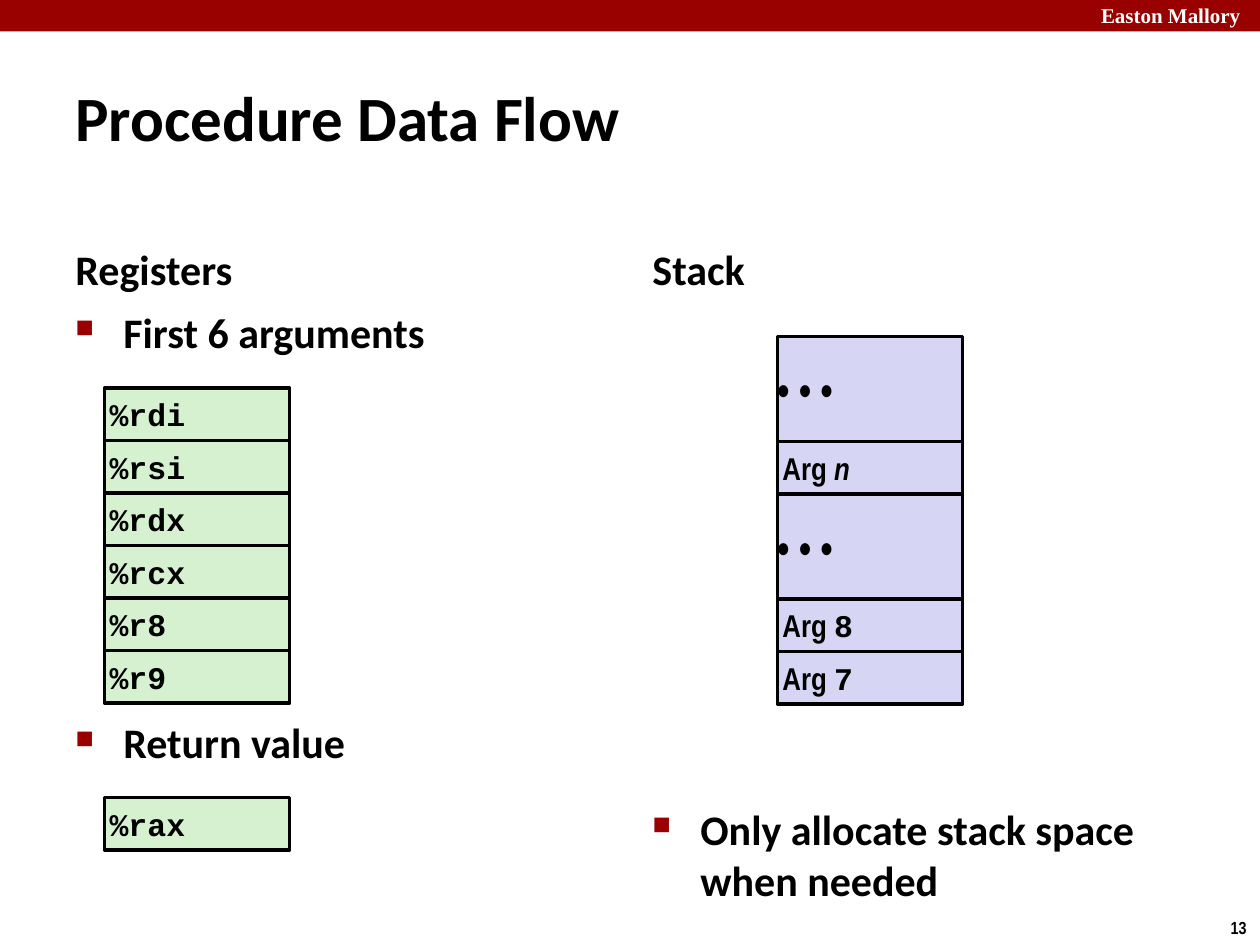
"""Builds the slide on procedure data flow through registers and the stack."""
from lxml.etree import SubElement
from pptx import Presentation
from pptx.dml.color import RGBColor
from pptx.enum.shapes import MSO_SHAPE as Shape
from pptx.enum.text import MSO_ANCHOR as Anchor, PP_ALIGN as Align
from pptx.oxml.ns import qn
from pptx.util import Inches, Pt

COLORS = {"red": "990000", "white": "FFFFFF", "black": "000000",
          "register": "D5F1CF", "stack": "D6D6F4"}
HEAD, LABEL, CODE, BRAND = "Calibri", "Arial Narrow", "Courier New", "Times New Roman"
ROW = 5 / 12
CELL_WIDTH = 1.47
REGISTER_LEFT, STACK_LEFT = 0.83, 6.17
DOTS = "• • •"


class Page:
    def __init__(self, deck):
        self.slide = deck.slides.add_slide(deck.slide_layouts[6])

    def color(self, name):
        return RGBColor.from_string(COLORS[name])

    def style(self, span, size, font, color="black", italic=False):
        span.font.size = Pt(size)
        span.font.name = font
        span.font.bold = True
        span.font.italic = italic
        span.font.color.rgb = self.color(color)

    def text(self, left, top, width, height, lines, size, font,
             color="black", anchor=Anchor.TOP, align=Align.LEFT, wrap=True):
        box = self.slide.shapes.add_textbox(
            Inches(left), Inches(top), Inches(width), Inches(height))
        frame = box.text_frame
        frame.text = "\n".join(lines)
        frame.word_wrap = wrap
        frame.vertical_anchor = anchor
        for para in frame.paragraphs:
            para.alignment = align
            self.style(para.runs[0], size, font, color)
        return frame

    def bullets(self, left, top, width, height, lines, gap=0):
        frame = self.text(left, top, width, height, lines, 24, HEAD)
        for index, para in enumerate(frame.paragraphs):
            para.space_before = Pt(gap if index else 4.8)
            props = para._p.get_or_add_pPr()
            props.set("marL", str(Inches(0.38)))
            props.set("indent", str(-Inches(0.38)))
            tint = SubElement(props, qn("a:buClr"))
            SubElement(tint, qn("a:srgbClr"), val=COLORS["red"])
            SubElement(props, qn("a:buSzPct"), val="60000")
            SubElement(props, qn("a:buChar"), char="■")

    def rect(self, left, top, width, height, fill, line=None):
        box = self.slide.shapes.add_shape(
            Shape.RECTANGLE, Inches(left), Inches(top), Inches(width), Inches(height))
        box.shadow.inherit = False
        box.fill.solid()
        box.fill.fore_color.rgb = self.color(fill)
        if line:
            box.line.color.rgb = self.color(line)
            box.line.width = Pt(2)
        else:
            box.line.fill.background()
        return box

    def cell(self, left, top, fill, spans, rows=1, size=18, inset=0.04):
        frame = self.rect(left, top, CELL_WIDTH, rows * ROW, fill, "black").text_frame
        frame.margin_left = frame.margin_right = Inches(inset)
        frame.margin_top = frame.margin_bottom = Inches(inset)
        frame.vertical_anchor = Anchor.MIDDLE
        para = frame.paragraphs[0]
        para.alignment = Align.LEFT
        for words, font, italic in spans:
            span = para.add_run()
            span.text = words
            self.style(span, size, font, italic=italic)


deck = Presentation()
deck.slide_width, deck.slide_height = Inches(10), Inches(7.5)
page = Page(deck)

page.rect(0, 0, 10, 0.25, "red")
page.text(8.64, -0.03, 1.43, 0.3, ["Easton Mallory"], 12, BRAND, "white")
page.text(9.66, 7.23, 0.34, 0.27, ["13"], 10, LABEL, align=Align.CENTER, wrap=False)
page.text(0.5, 0.3, 9, 1.25, ["Procedure Data Flow"], 36, HEAD, anchor=Anchor.MIDDLE)

for left, heading in ((0.5, "Registers"), (5.08, "Stack")):
    page.text(left, 1.68, 4.42, 0.7, [heading], 24, HEAD, anchor=Anchor.BOTTOM)
page.bullets(0.5, 2.38, 4.42, 4.32, ["First 6 arguments", "Return value"], gap=206)
page.bullets(5.08, 6.33, 4.42, 0.37, ["Only allocate stack space when needed"])

registers = ["%rdi", "%rsi", "%rdx", "%rcx", "%r8", "%r9"]
places = [(name, 3.08 + index * ROW) for index, name in enumerate(registers)]
for name, top in places + [("%rax", 6.33)]:
    page.cell(REGISTER_LEFT, top, "register", [(name, CODE, False)])

top = 2.67
for entry in (DOTS, "n", DOTS, "8", "7"):
    if entry == DOTS:
        rows = 2
        page.cell(STACK_LEFT, top, "stack", [(DOTS, LABEL, False)], rows, 24, 0)
    else:
        rows = 1
        number = (entry, CODE, False) if entry.isdigit() else (entry, LABEL, True)
        page.cell(STACK_LEFT, top, "stack", [("Arg ", LABEL, False), number])
    top += rows * ROW

deck.save("out.pptx")
